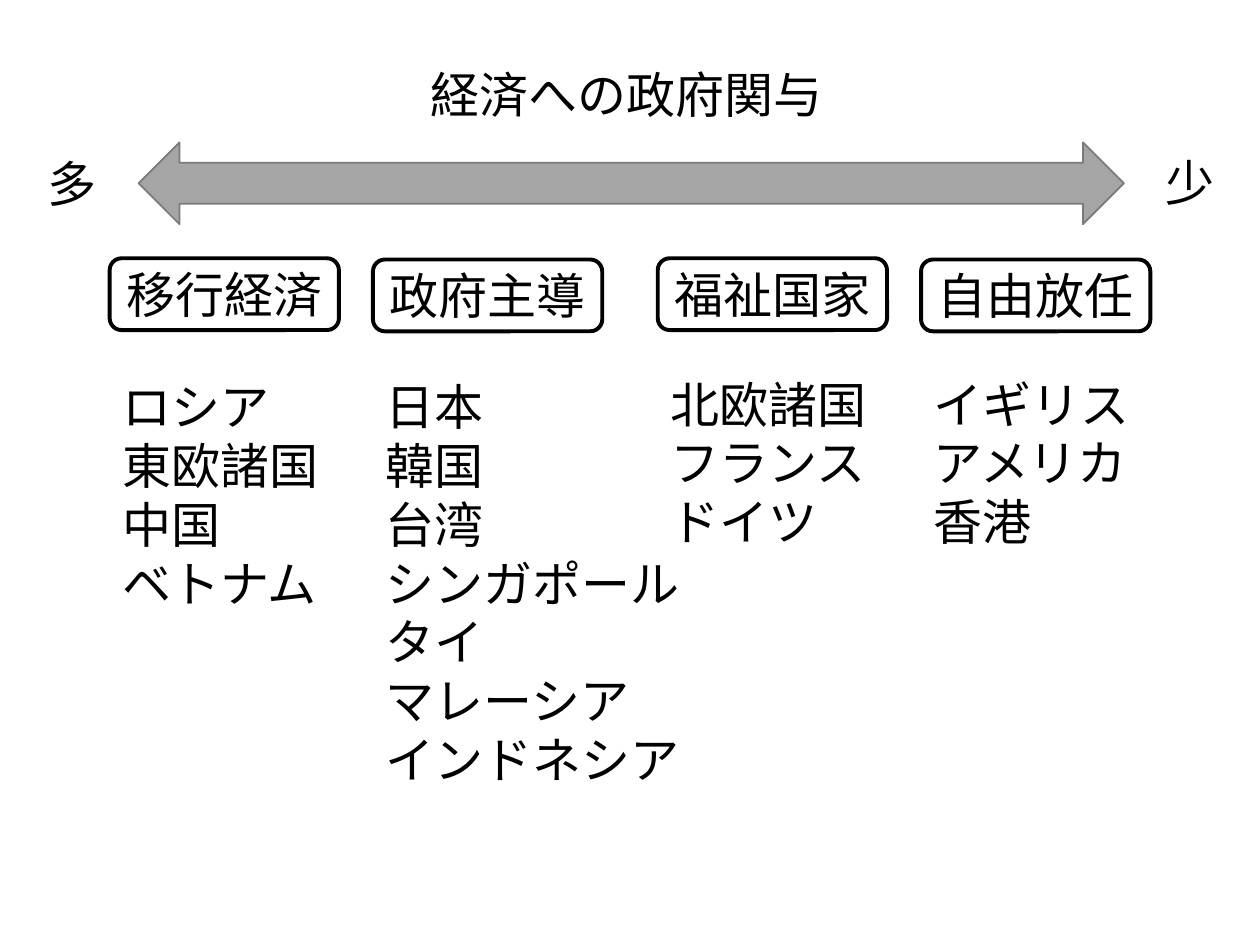
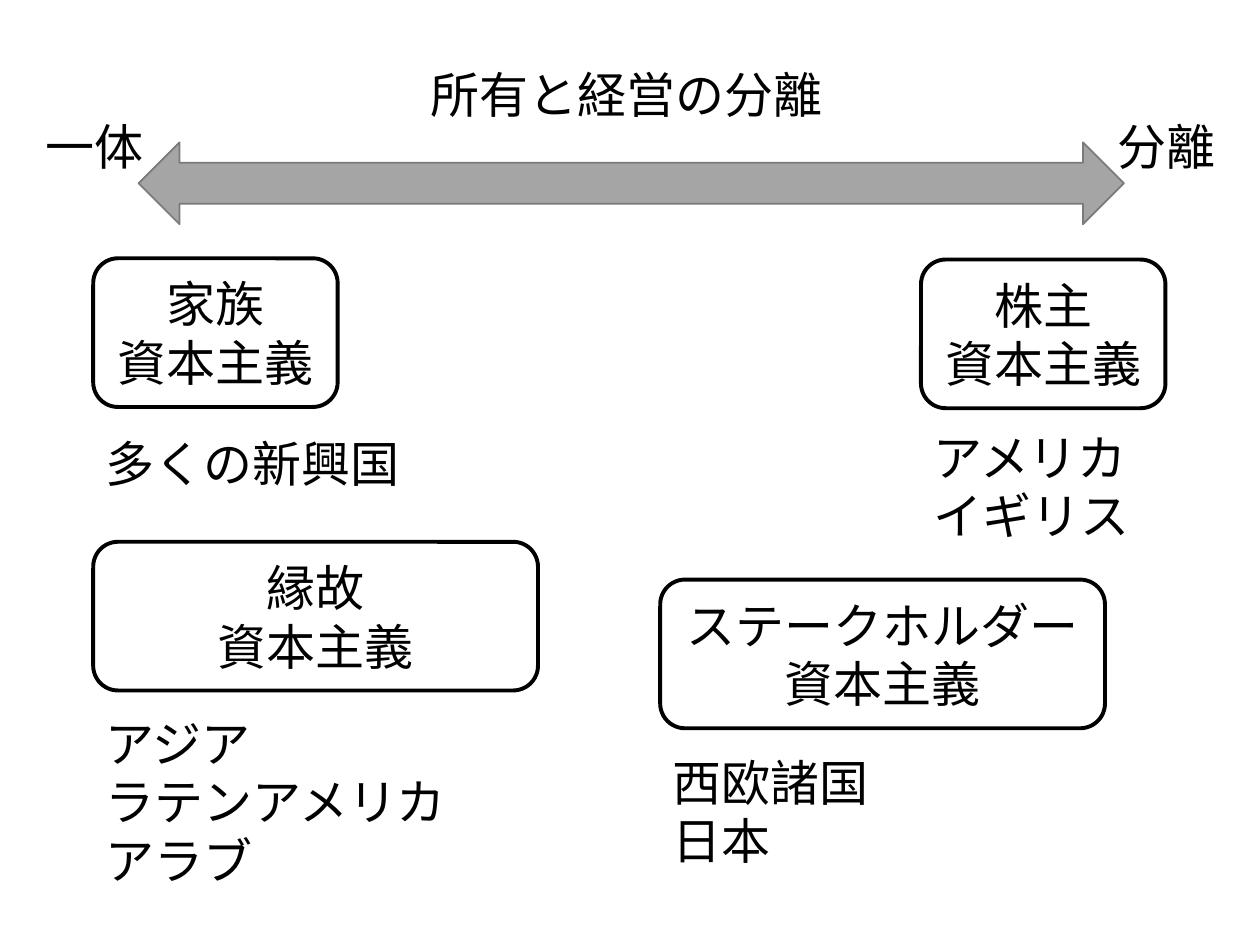
import pptx
import pptx.dml.color
import pptx.enum.shapes
import pptx.enum.text
import pptx.util
from lxml import etree

Inches = pptx.util.Inches
Pt = pptx.util.Pt
Shape = pptx.enum.shapes.MSO_SHAPE
Align = pptx.enum.text.PP_ALIGN
Anchor = pptx.enum.text.MSO_ANCHOR
INK = {"text": "000000", "arrow": "A5A5A5", "edge": "7A7A7A"}
FONT = {"text": "Cabin", "box": "Noto Sans CJK JP"}


def tint(name):
    return pptx.dml.color.RGBColor.from_string(INK[name])


def write(frame, text, font="text", align=Align.LEFT, anchor=Anchor.TOP, wrap=False):
    frame.word_wrap = wrap
    frame.auto_size = pptx.enum.text.MSO_AUTO_SIZE.NONE
    frame.vertical_anchor = anchor
    for i, line in enumerate(text.split("\n")):
        par = frame.add_paragraph() if i else frame.paragraphs[0]
        par.alignment = align
        par.space_before = Pt(0)
        par.line_spacing = Pt(33.6)
        props = par._p.get_or_add_pPr()
        props.set("marL", "0")
        props.set("indent", "0")
        etree.SubElement(props, pptx.oxml.ns.qn("a:buNone"))
        run = par.add_run()
        run.text = line
        run.font.size = Pt(28)
        run.font.bold = False
        run.font.name = FONT[font]
        run.font.color.rgb = tint("text")
        east = etree.SubElement(run._r.get_or_add_rPr(), pptx.oxml.ns.qn("a:ea"))
        east.set("typeface", FONT[font])


class Deck:
    def __init__(self):
        self.show = pptx.Presentation()
        self.show.slide_width = Inches(10)
        self.show.slide_height = Inches(7.5)

    def start(self, title, left, right):
        self.slide = self.show.slides.add_slide(self.show.slide_layouts[4])
        self.slots = [s for s in self.slide.placeholders if s.placeholder_format.idx]
        self.place(self.slide.shapes.title, title, 3.32, 0.46, 3.34, 0.57)
        self.shape(Shape.LEFT_RIGHT_ARROW, 1.1, 1.13, 7.82, 0.65, "edge", 1, "arrow")
        for label in (left, right):
            self.label(*label)

    def place(self, item, text, x, y, w, h):
        item.left, item.top = Inches(x), Inches(y)
        item.width, item.height = Inches(w), Inches(h)
        write(item.text_frame, text)

    def shape(self, kind, x, y, w, h, edge, width, fill=None):
        item = self.slide.shapes.add_shape(kind, Inches(x), Inches(y), Inches(w), Inches(h))
        item.shadow.inherit = False
        if fill:
            item.fill.solid()
            item.fill.fore_color.rgb = tint(fill)
        else:
            item.fill.background()
        item.line.color.rgb = tint(edge)
        item.line.width = Pt(width)
        return item

    def label(self, text, x, y, w):
        item = self.slide.shapes.add_textbox(Inches(x), Inches(y), Inches(w), Inches(0.57))
        write(item.text_frame, text)

    def box(self, text, x, y, w, h):
        item = self.shape(Shape.ROUNDED_RECTANGLE, x, y, w, h, "text", 2.25)
        write(item.text_frame, text, font="box", align=Align.CENTER,
              anchor=Anchor.MIDDLE, wrap=True)

    def list(self, text, x, y, w):
        rows = text.count("\n") + 1
        self.place(self.slots.pop(0), text, x, y, w, 0.1 + 0.47 * rows)


def main():
    deck = Deck()

    deck.start("経済への政府関与", ("多", 0.28, 1.17, 0.59), ("少", 9.15, 1.16, 0.59))
    for head, lands, x, top, y, w in (
        ("移行経済", "ロシア\n東欧諸国\n中国\nベトナム", 0.87, 2.05, 2.94, 1.77),
        ("政府主導", "日本\n韓国\n台湾\nシンガポール\nタイ\nマレーシア\nインドネシア",
         2.96, 2.06, 2.94, 2.56),
        ("福祉国家", "北欧諸国\nフランス\nドイツ", 5.22, 2.05, 2.92, 1.77),
        ("自由放任", "イギリス\nアメリカ\n香港", 7.31, 2.06, 2.92, 1.77),
    ):
        deck.box(head, x, top, 1.82, 0.57)
        deck.list(lands, x, y, w)

    deck.start("所有と経営の分離", ("一体", 0.26, 0.88, 0.99), ("分離", 8.77, 0.88, 0.99))
    for head, lands, x, top, wide, y, w in (
        ("家族", "多くの新興国", 0.74, 2.05, 1.94, 3.39, 2.56),
        ("株主", "アメリカ\nイギリス", 7.31, 2.06, 1.94, 3.34, 1.77),
        ("縁故", "アジア\nラテンアメリカ\nアラブ", 0.74, 4.3, 3.53, 5.61, 2.95),
        ("ステークホルダー", "西欧諸国\n日本", 5.24, 4.6, 3.53, 5.92, 1.77),
    ):
        deck.box(head + "\n資本主義", x, top, wide, 1.18)
        deck.list(lands, x, y, w)

    deck.show.save("out.pptx")


if __name__ == "__main__":
    main()
